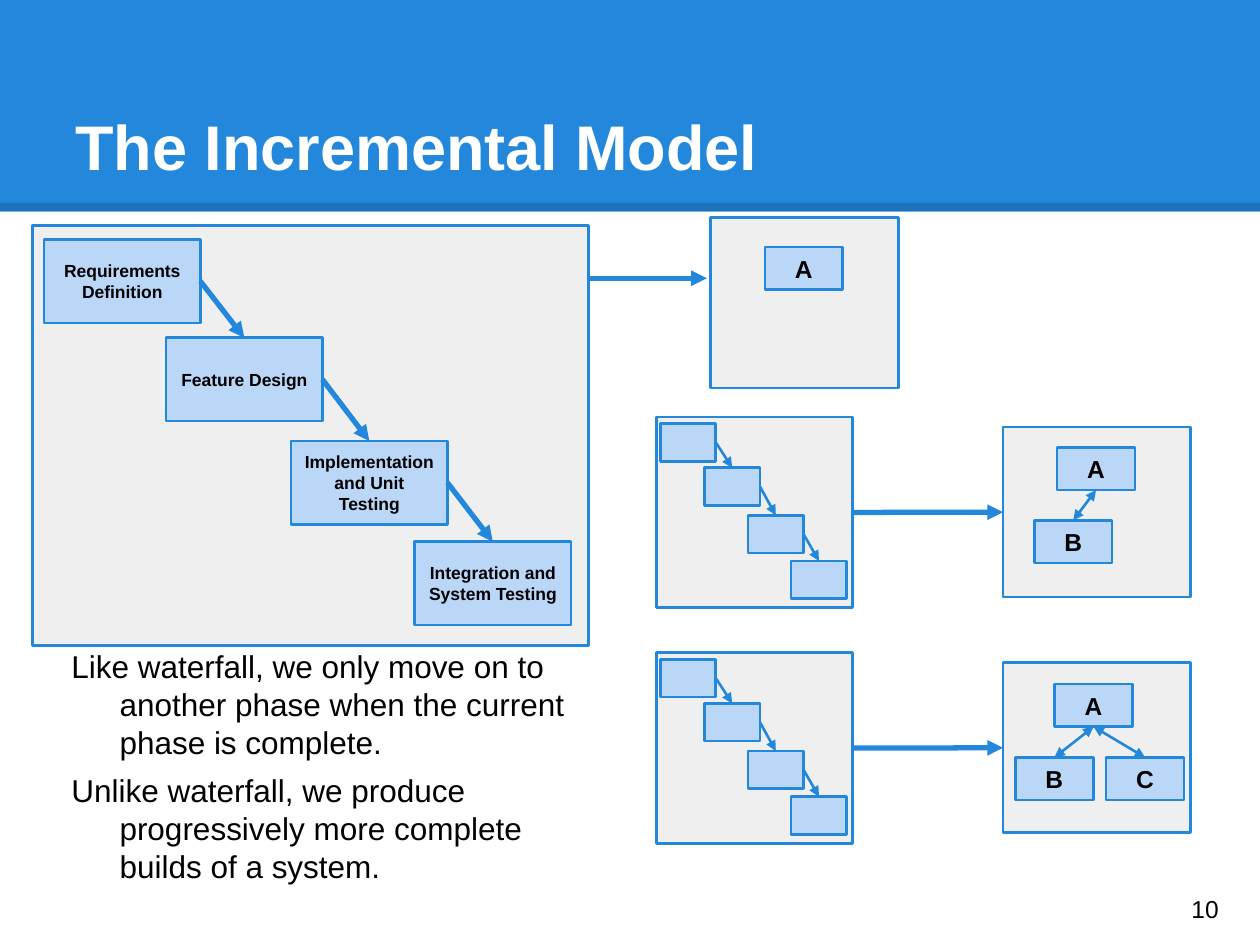
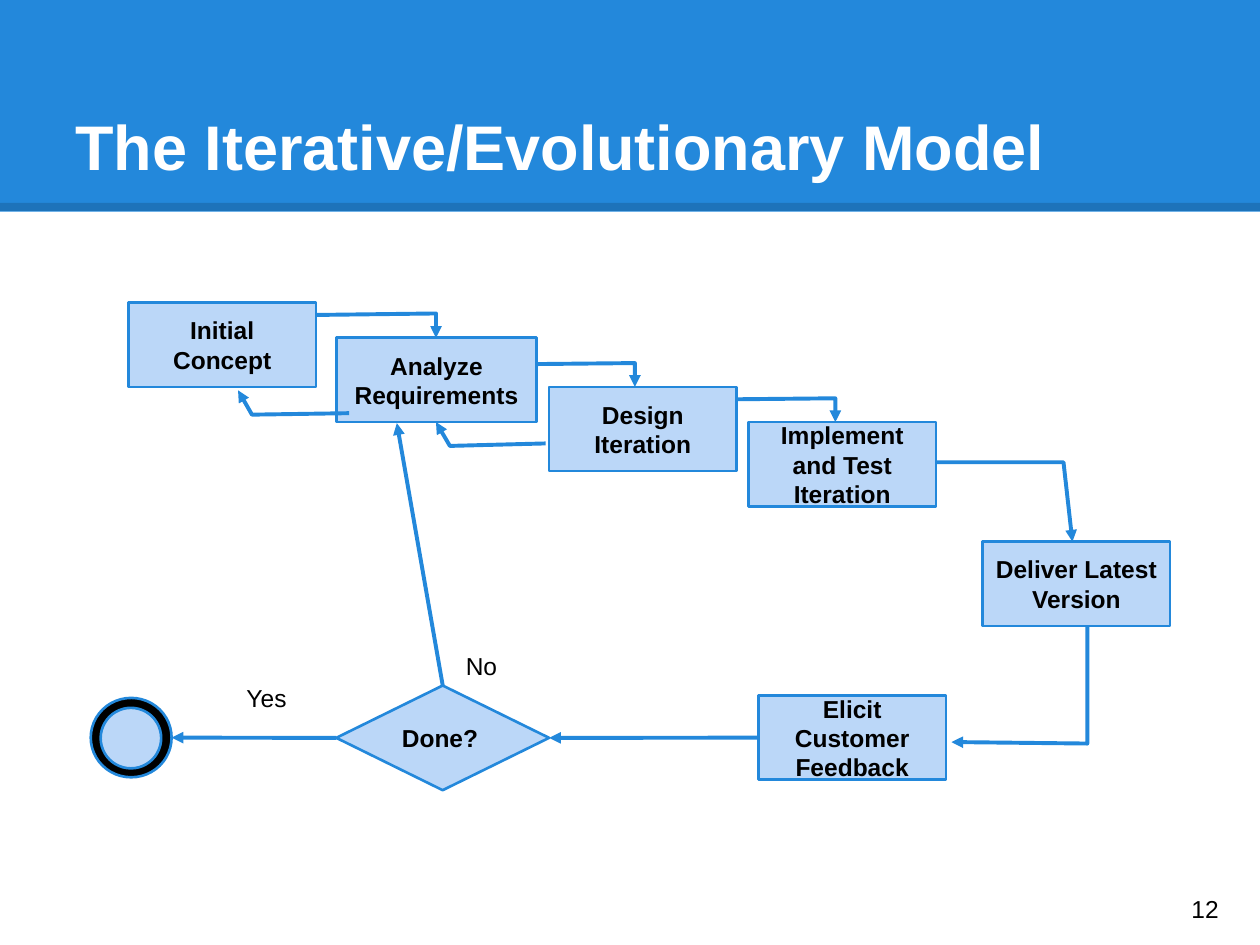
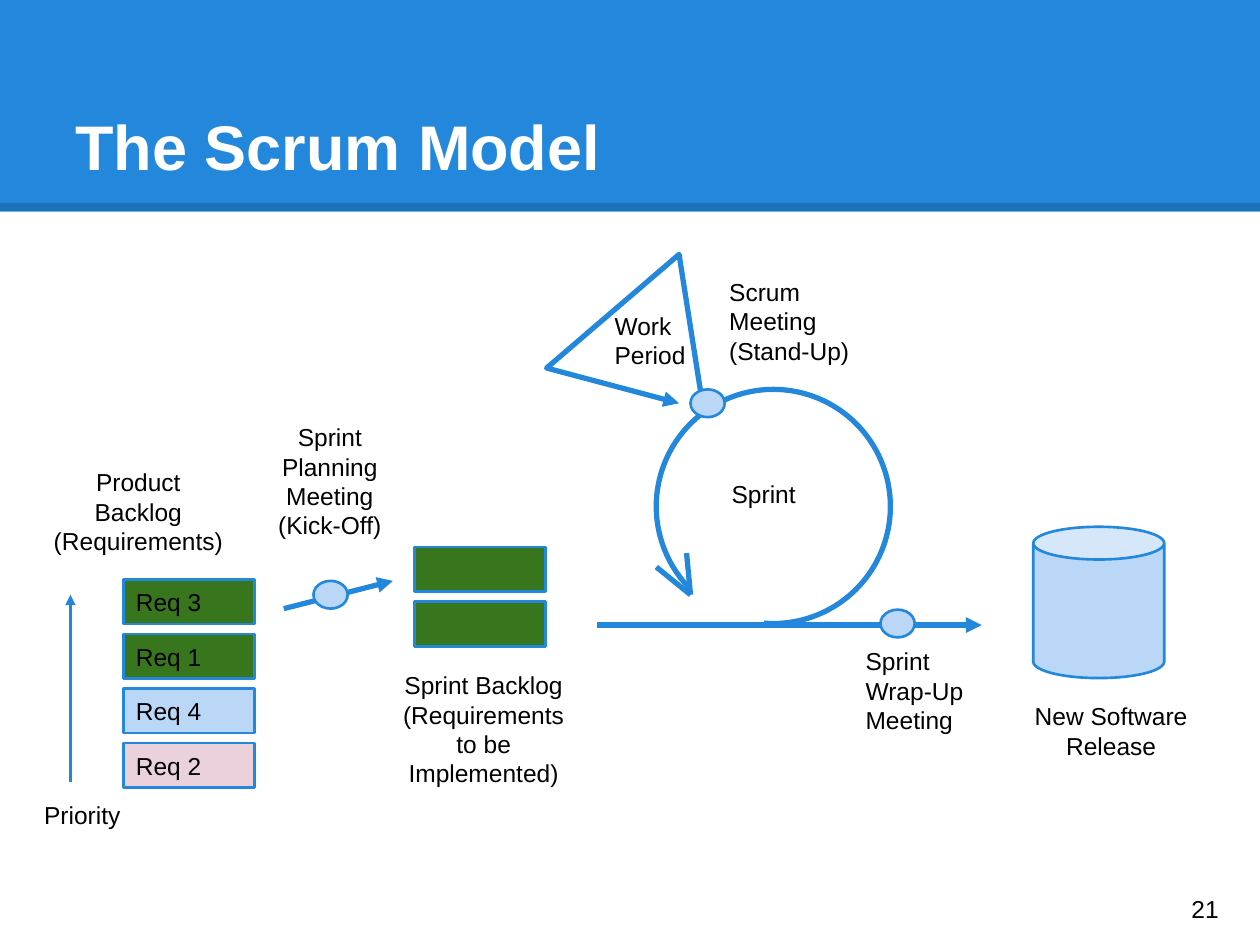
"""Build three slides on the incremental, iterative and Scrum process models."""
from lxml import etree
from pptx import Presentation
from pptx.dml.color import RGBColor
from pptx.enum.shapes import MSO_CONNECTOR, MSO_SHAPE
from pptx.enum.text import MSO_ANCHOR, PP_ALIGN
from pptx.oxml.ns import qn
from pptx.util import Cm, Pt

RECT, OVAL = MSO_SHAPE.RECTANGLE, MSO_SHAPE.OVAL
DIAMOND, CAN = MSO_SHAPE.DIAMOND, MSO_SHAPE.CAN
STRAIGHT = MSO_CONNECTOR.STRAIGHT
LEFT, CENTER = PP_ALIGN.LEFT, PP_ALIGN.CENTER
TOP, MIDDLE, BOTTOM = MSO_ANCHOR.TOP, MSO_ANCHOR.MIDDLE, MSO_ANCHOR.BOTTOM
SITE_TOP, SITE_LEFT, SITE_BOTTOM, SITE_RIGHT = range(4)

COLORS = {
    "blue": "2388DB", "pale": "BBD7F8", "panel": "EFEFEF", "white": "FFFFFF",
    "black": "000000", "green": "38761D", "pink": "EAD1DC",
}
FONT = "Arial"
SLIDE_W, SLIDE_H = 25.4, 19.05

INCREMENTAL_NOTES = [
    "Like waterfall, we only move on to another phase when the current phase is complete.",
    "Unlike waterfall, we produce progressively more complete builds of a system.",
]
PHASES = [
    ("Requirements Definition", 0.89, 4.83),
    ("Feature Design", 3.35, 6.81),
    ("Implementation and Unit Testing", 5.87, 8.89),
    ("Integration and System Testing", 8.36, 10.92),
]
MINI_PHASES = [("", 0.08, 0.13), ("", 0.97, 1.02), ("", 1.85, 1.98), ("", 2.72, 2.9)]
FIRST_BUILD = (14.33, 4.39, [("A", 15.42, 4.98)])
LATER_BUILDS = [
    (20.22, 8.61, [("A", 21.31, 9.02), ("B", 20.85, 10.49)]),
    (20.22, 13.36, [("A", 21.26, 13.79), ("B", 20.47, 15.27), ("C", 22.3, 15.27)]),
]

STEPS = [
    ("Initial Concept", 2.59, 6.1, 3.78),
    ("Analyze Requirements", 6.78, 6.81, 4.04),
    ("Design Iteration", 11.07, 7.8, 3.78),
    ("Implement and Test Iteration", 15.09, 8.51, 3.78),
    ("Deliver Latest Version", 19.81, 10.92, 3.78),
    ("Elicit Customer Feedback", 15.29, 14.02, 3.78),
]
STEP_PATHS = [
    [(6.38, 6.35), (8.79, 6.32), (8.79, 6.81)],
    [(10.82, 7.34), (12.8, 7.32), (12.8, 7.8)],
    [(14.83, 8.05), (16.84, 8.03), (16.84, 8.51)],
    [(7.04, 8.33), (5.08, 8.36), (4.8, 7.87)],
    [(11, 8.94), (9.07, 8.99), (8.79, 8.51)],
    [(18.87, 9.32), (21.44, 9.32), (21.62, 10.92)],
    [(21.92, 12.62), (21.92, 14.99), (19.18, 14.96)],
]
ANSWERS = [("Yes", (4.72, 13.51, 2.01, 1.22)), ("No", (9.14, 12.88, 1.35, 0.76))]

PRODUCT_BACKLOG = [("Req 3", "green"), ("Req 1", "green"), ("Req 4", "pale"), ("Req 2", "pink")]
SPRINT_BACKLOG = [("", "green"), ("", "green")]
SCRUM_LABELS = [
    ("Product Backlog (Requirements)", (0.81, 9.17, 3.96, 2.11), CENTER),
    ("Priority", (0.64, 15.88, 2.16, 1.04), LEFT),
    ("Sprint Backlog (Requirements to be Implemented)", (7.77, 13.26, 3.96, 1.52), CENTER),
    ("New Software Release", (20.04, 13.89, 4.72, 1.83), CENTER),
    ("Sprint", (14.5, 9.4, 2.84, 1.22), LEFT),
    ("Sprint Planning Meeting (Kick-Off)", (5.33, 8.26, 2.64, 3.18), CENTER),
    ("Sprint Wrap-Up Meeting", (17.2, 12.78, 2.84, 1.52), LEFT),
    ("Scrum Meeting (Stand-Up)", (14.45, 5.33, 3.76, 2.51), LEFT),
    ("Work Period", (12.14, 6.02, 2.01, 1.83), LEFT),
]
MEETING_DOTS = [(17.75, 12.29), (6.32, 11.71), (13.92, 7.85)]
WORK_PERIOD_PATH = [(14.12, 7.87), (13.69, 5.13), (11.02, 7.42), (13.69, 8.13)]


def rgb(name):
    return RGBColor.from_string(COLORS[name])


def write(shape, text, size=14, bold=False, color="black", align=LEFT, anchor=MIDDLE,
          hanging=None, gap=0):
    frame = shape.text_frame
    frame.word_wrap = True
    frame.vertical_anchor = anchor
    frame.margin_left = frame.margin_right = Cm(0.25)
    frame.margin_top = frame.margin_bottom = Cm(0.25)
    lines = text if isinstance(text, list) else [text]
    for index, line in enumerate(lines):
        paragraph = frame.add_paragraph() if index else frame.paragraphs[0]
        paragraph.alignment = align
        if hanging:
            margin, indent = hanging
            properties = paragraph._p.get_or_add_pPr()
            properties.set("marL", str(Cm(margin)))
            properties.set("indent", str(Cm(indent)))
        if index:
            paragraph.space_before = Pt(gap)
        run = paragraph.add_run()
        run.text = line
        run.font.name, run.font.size, run.font.bold = FONT, Pt(size), bold
        run.font.color.rgb = rgb(color)


def label(slide, text, place, **style):
    write(slide.shapes.add_textbox(*map(Cm, place)), text, **style)


def block(slide, place, text="", kind=RECT, fill="pale", line="blue", **style):
    shape = slide.shapes.add_shape(kind, *map(Cm, place))
    shape.shadow.inherit = False
    shape.fill.solid()
    shape.fill.fore_color.rgb = rgb(fill)
    if line:
        shape.line.color.rgb = rgb(line)
        shape.line.width = Pt(1.5)
    else:
        shape.line.fill.background()
    if text:
        write(shape, text, **style)
    return shape


def stroke(shape, width, ends=(), color="blue"):
    shape.line.color.rgb = rgb(color)
    shape.line.width = Pt(width)
    outline = shape._element.spPr.find(qn("a:ln"))
    for end in ends:
        etree.SubElement(outline, qn(f"a:{end}"), type="triangle")
    return outline


def arrow(slide, start, end, width, ends=("tailEnd",), color="blue"):
    """Draw a line; each end is an (x, y) point or a (shape, site) pair."""
    line = slide.shapes.add_connector(STRAIGHT, 0, 0, 0, 0)
    if isinstance(start[0], (int, float)):
        line.begin_x, line.begin_y = map(Cm, start)
    else:
        line.begin_connect(*start)
    if isinstance(end[0], (int, float)):
        line.end_x, line.end_y = map(Cm, end)
    else:
        line.end_connect(*end)
    outline = stroke(line, width, ends, color)
    etree.SubElement(line._element.spPr, qn("a:effectLst"))
    return outline


def bent_arrow(slide, points, width):
    (x, y), *rest = [tuple(map(Cm, point)) for point in points]
    builder = slide.shapes.build_freeform(x, y)
    builder.add_line_segments(rest, close=False)
    shape = builder.convert_to_shape()
    shape.shadow.inherit = False
    shape.fill.background()
    stroke(shape, width, ("tailEnd",))


def new_slide(deck, title, number):
    slide = deck.slides.add_slide(deck.slide_layouts[6])
    block(slide, (0, 0, SLIDE_W, 4.27), fill="blue", line=None)
    edge = arrow(slide, (0, 4.17), (SLIDE_W, 4.17), 4.5, (), "black")
    etree.SubElement(edge.find(".//" + qn("a:srgbClr")), qn("a:alpha"), val="15000")
    label(slide, title, (1.27, 0.76, 22.86, 3.18), size=36, bold=True, color="white",
          anchor=BOTTOM)
    label(slide, str(number), (23.77, 17.6, 1.52, 1.45))
    return slide


def staircase(slide, phases, size, width, origin=(0, 0)):
    boxes = [block(slide, (origin[0] + x, origin[1] + y, *size), text, size=10,
                   bold=True, align=CENTER) for text, x, y in phases]
    for upper, lower in zip(boxes, boxes[1:]):
        arrow(slide, (upper, SITE_RIGHT), (lower, SITE_TOP), width)


def build_panel(slide, x, y, modules):
    panel = block(slide, (x, y, 3.78, 3.43), fill="panel")
    root, *children = [block(slide, (left, top, 1.57, 0.86), name, bold=True, align=CENTER)
                       for name, left, top in modules]
    for child in children:
        arrow(slide, (root, SITE_BOTTOM), (child, SITE_TOP), 1.5, ("headEnd", "tailEnd"))
    return panel


def incremental(deck):
    slide = new_slide(deck, "The Incremental Model", 10)
    block(slide, (0.66, 4.55, 11.2, 8.46), fill="panel")
    staircase(slide, PHASES, (3.15, 1.68), 3)
    label(slide, INCREMENTAL_NOTES, (0.89, 12.8, 11.35, 5.28), size=18, anchor=TOP,
          hanging=(1.27, -0.97), gap=6)
    build_panel(slide, *FIRST_BUILD)
    arrow(slide, (11.86, 5.61), (14.25, 5.61), 3)
    for x, y, modules in LATER_BUILDS:
        origin = (13.23, y - 0.2)
        cycle = block(slide, (*origin, 3.96, 3.84), fill="panel")
        staircase(slide, MINI_PHASES, (1.12, 0.76), 1.5, origin)
        build = build_panel(slide, x, y, modules)
        arrow(slide, (cycle, SITE_RIGHT), (build, SITE_LEFT), 3)


def iterative(deck):
    slide = new_slide(deck, "The Iterative/Evolutionary Model", 12)
    steps = [block(slide, (x, y, width, 1.7), text, bold=True, align=CENTER)
             for text, x, y, width in STEPS]
    for points in STEP_PATHS:
        bent_arrow(slide, points, 2.25)
    decision = block(slide, (6.78, 13.82, 4.29, 2.11), "Done?", kind=DIAMOND, bold=True)
    block(slide, (1.83, 14.07, 1.63, 1.6), kind=OVAL, fill="black")
    block(slide, (2.03, 14.27, 1.22, 1.22), kind=OVAL)
    arrow(slide, (steps[-1], SITE_LEFT), (decision, SITE_RIGHT), 2.25)
    arrow(slide, (decision, SITE_TOP), (8, 8.53), 2.25)
    arrow(slide, (decision, SITE_LEFT), (3.46, 14.87), 2.25)
    for text, place in ANSWERS:
        label(slide, text, place, anchor=TOP)


def scrum(deck):
    slide = new_slide(deck, "The Scrum Model", 21)
    for x, y, items in ((2.49, 11.68, PRODUCT_BACKLOG), (8.36, 11.03, SPRINT_BACKLOG)):
        for row, (text, fill) in enumerate(items):
            block(slide, (x, y + 1.1 * row, 2.64, 0.9), text, fill=fill)
    arrow(slide, (1.42, 15.77), (1.42, 11.99), 1.5)
    block(slide, (20.83, 10.62, 2.64, 3.05), kind=CAN)
    cycle = block(slide, (13.23, 7.85, 4.72, 4.72), kind=OVAL, fill="white")
    stroke(cycle, 3)
    block(slide, (13.92, 11.38, 1.45, 1.22), fill="white", line="white")
    arrow(slide, (12.04, 12.6), (19.79, 12.6), 3)
    for barb in ((13.84, 11.15), (13.23, 11.43)):
        arrow(slide, (13.92, 11.99), barb, 3, ())
    arrow(slide, (5.72, 12.27), (7.92, 11.71), 3)
    bent_arrow(slide, WORK_PERIOD_PATH, 3)
    for x, y in MEETING_DOTS:
        block(slide, (x, y, 0.69, 0.56), kind=OVAL)
    for text, place, align in SCRUM_LABELS:
        label(slide, text, place, align=align, anchor=TOP)


def main():
    deck = Presentation()
    deck.slide_width, deck.slide_height = Cm(SLIDE_W), Cm(SLIDE_H)
    incremental(deck)
    iterative(deck)
    scrum(deck)
    deck.save("out.pptx")


if __name__ == "__main__":
    main()
